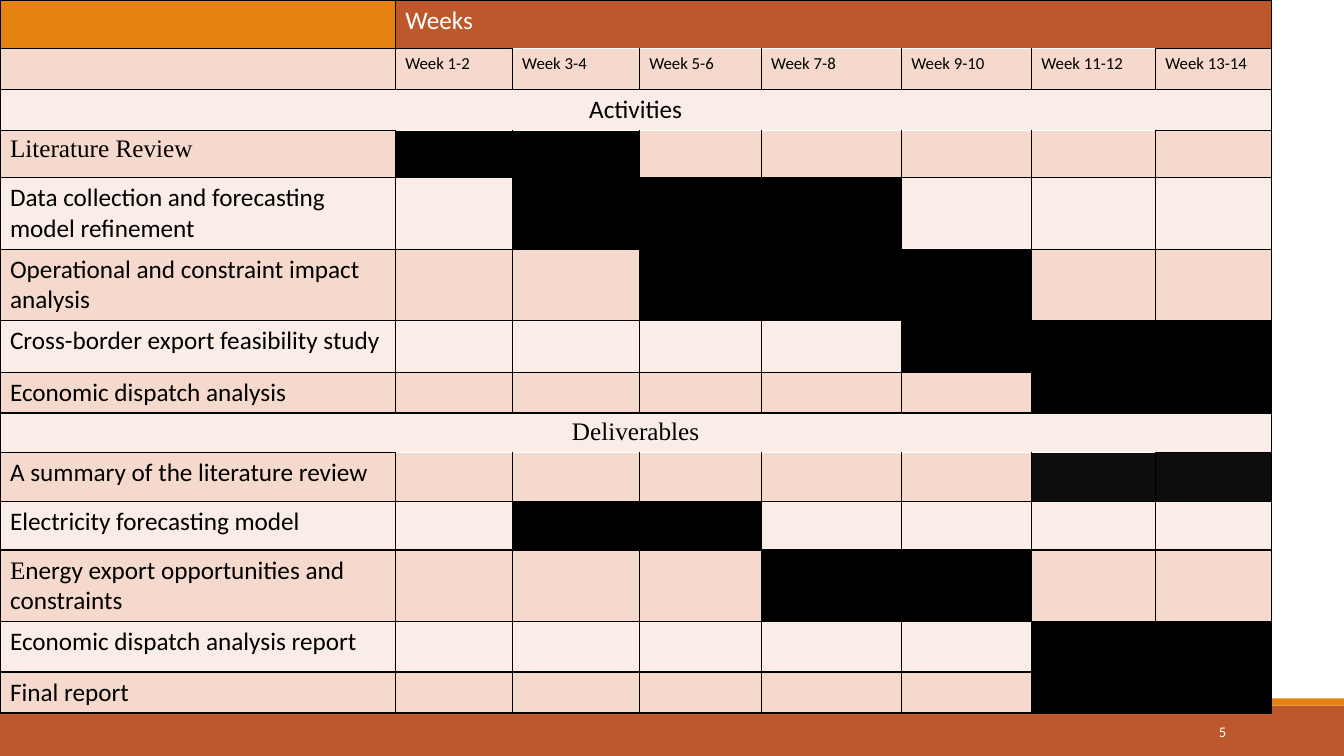
"""Build a Gantt-style slide of project activities and deliverables by week."""
from lxml import etree
from pptx import Presentation
from pptx.dml.color import RGBColor
from pptx.enum.shapes import MSO_SHAPE
from pptx.enum.text import MSO_ANCHOR, PP_ALIGN
from pptx.oxml.ns import qn
from pptx.util import Inches, Pt

RECTANGLE = MSO_SHAPE.RECTANGLE
MIDDLE = MSO_ANCHOR.MIDDLE
CENTER, RIGHT = PP_ALIGN.CENTER, PP_ALIGN.RIGHT
SANS, SERIF = "Calibri", "Times New Roman"

COLORS = {
    "orange": "E48312",
    "rust": "BD582C",
    "band": "F5D9CC",
    "light": "FAEDE7",
    "busy": "000000",
    "summary": "0D0D0D",
    "black": "000000",
    "white": "FFFFFF",
}
COLUMN_WIDTHS = [3.92, 1.16, 1.26, 1.21, 1.39, 1.29, 1.23, 1.15]
WEEKS = ["Week 1-2", "Week 3-4", "Week 5-6", "Week 7-8",
         "Week 9-10", "Week 11-12", "Week 13-14"]

# Height, label, label font, first and last busy week column, busy colour
ROWS = [
    (0.48, "", SANS, None, None),
    (0.39, "", SANS, None, None),
    (0.39, "Activities", SANS, None, None),
    (0.47, "Literature Review", SERIF, (1, 2), "busy"),
    (0.70, "Data collection and forecasting model refinement", SANS, (2, 4), "busy"),
    (0.68, "Operational and constraint impact analysis", SANS, (3, 5), "busy"),
    (0.51, "Cross-border export feasibility study", SANS, (5, 7), "busy"),
    (0.39, "Economic dispatch analysis", SANS, (6, 7), "busy"),
    (0.39, "Deliverables", SERIF, None, None),
    (0.49, "A summary of the literature review", SANS, (6, 7), "summary"),
    (0.48, "Electricity forecasting model", SANS, (2, 3), "busy"),
    (0.68, "Energy export opportunities and constraints", SANS, (4, 5), "busy"),
    (0.50, "Economic dispatch analysis report", SANS, (6, 7), "busy"),
    (0.39, "Final report", SANS, (6, 7), "busy"),
]
HEADER_ROW, WEEK_ROW, ENERGY_ROW = 0, 1, 11
SECTION_ROWS = (2, 8)
WHITE_TOPS = {WEEK_ROW: range(2, 7), 3: range(1, 7), 9: range(1, 7)}


def rgb(name):
    return RGBColor.from_string(COLORS[name])


def set_borders(cell, top, bottom):
    properties = cell._tc.get_or_add_tcPr()
    sides = {"lnL": "black", "lnR": "black", "lnT": top, "lnB": bottom}
    for position, (side, color) in enumerate(sides.items()):
        line = etree.Element(qn(f"a:{side}"), w=str(Pt(1)))
        fill = etree.SubElement(line, qn("a:solidFill"))
        etree.SubElement(fill, qn("a:srgbClr"), val=COLORS[color])
        properties.insert(position, line)


deck = Presentation()
deck.slide_width, deck.slide_height = Inches(13.33), Inches(7.5)
page = deck.slides.add_slide(deck.slide_layouts[6])

for top, height, color in [(7, 0.5, "rust"), (6.93, 0.07, "orange")]:
    bar = page.shapes.add_shape(RECTANGLE, 0, Inches(top), Inches(13.33), Inches(height))
    bar.shadow.inherit = False
    bar.fill.solid()
    bar.fill.fore_color.rgb = rgb(color)
    bar.line.fill.background()

schedule = page.shapes.add_table(
    len(ROWS), len(COLUMN_WIDTHS), 0, 0, Inches(12.62), Inches(7.03)).table
for column, width in zip(schedule.columns, COLUMN_WIDTHS):
    column.width = Inches(width)

for row, (height, label, font, busy, busy_color) in enumerate(ROWS):
    schedule.rows[row].height = Inches(height)
    for column in range(len(COLUMN_WIDTHS)):
        cell = schedule.cell(row, column)
        text, size, text_color = "", 18, "black"
        color = "band" if row % 2 else "light"
        if column == 0:
            text = label
        elif row == WEEK_ROW:
            text, size = WEEKS[column - 1], 12
        elif busy and busy[0] <= column <= busy[1]:
            color = busy_color
        if row == HEADER_ROW:
            color = "rust" if column else "orange"
            text = "Weeks" if column == 1 else ""
            text_color = "white"

        cell.fill.solid()
        cell.fill.fore_color.rgb = rgb(color)
        top = "white" if column in WHITE_TOPS.get(row, ()) else "black"
        bottom = "white" if column in WHITE_TOPS.get(row + 1, ()) else "black"
        set_borders(cell, top, bottom)

        para = cell.text_frame.paragraphs[0]
        if row == ENERGY_ROW and column == 0:
            for part, part_font in [(text[0], SERIF), (text[1:], SANS)]:
                span = para.add_run()
                span.text = part
                span.font.name = part_font
        else:
            para.text = text
            para.font.name = font
        para.font.size = Pt(size)
        para.font.color.rgb = rgb(text_color)
        if row in SECTION_ROWS:
            para.alignment = CENTER

schedule.cell(HEADER_ROW, 1).merge(schedule.cell(HEADER_ROW, 7))
for row in SECTION_ROWS:
    schedule.cell(row, 0).merge(schedule.cell(row, 7))

box = page.shapes.add_textbox(Inches(10.83), Inches(7.06), Inches(1.43), Inches(0.4))
box.text_frame.word_wrap = True
box.text_frame.vertical_anchor = MIDDLE
para = box.text_frame.paragraphs[0]
para.text = "5"
para.alignment = RIGHT
para.font.name = SANS
para.font.size = Pt(10.5)
para.font.color.rgb = rgb("white")

deck.save("out.pptx")
